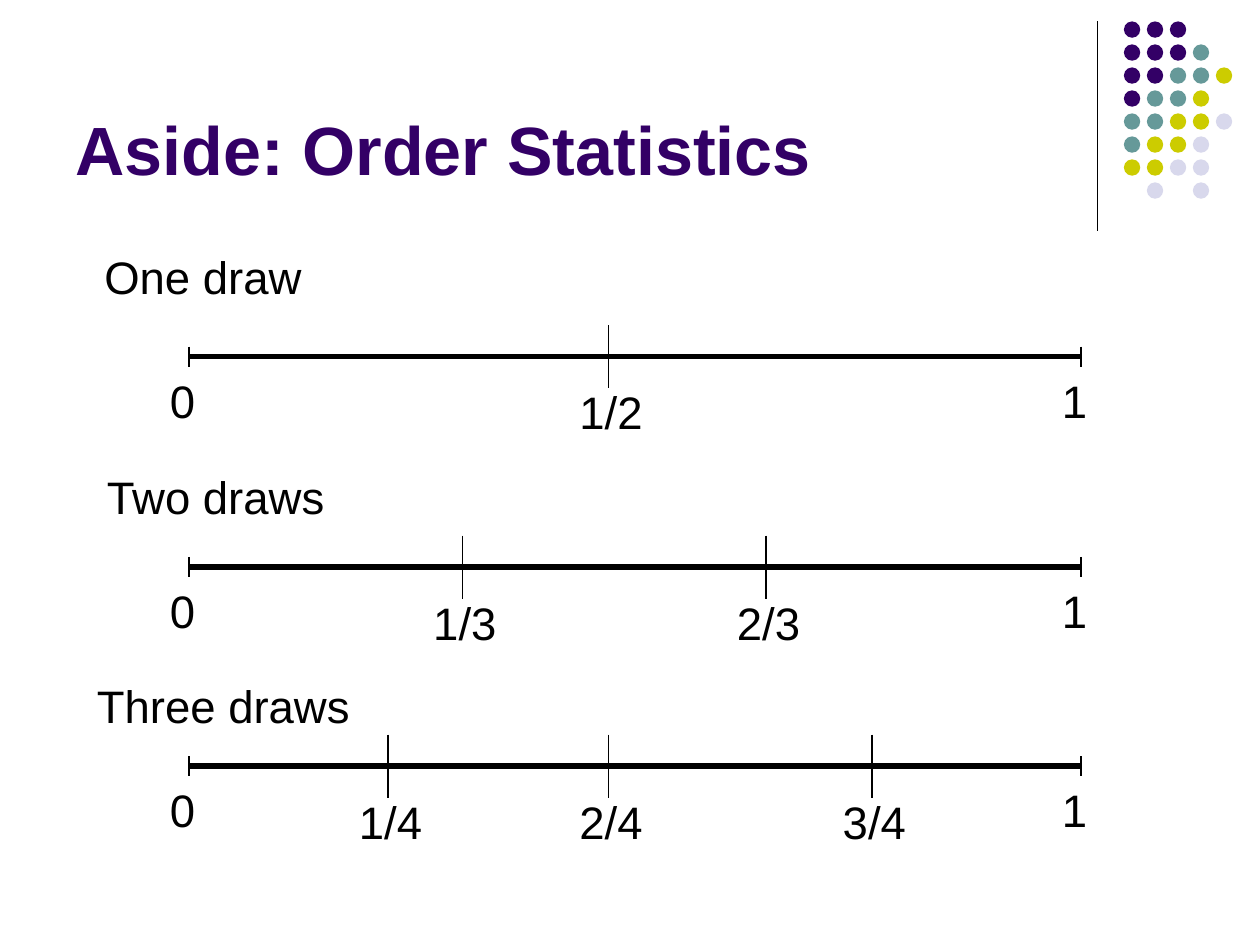
"""Build the order statistics slide: number lines for one, two and three draws."""

from dataclasses import dataclass

from lxml.etree import SubElement
from pptx import Presentation
from pptx.dml.color import RGBColor
from pptx.enum.shapes import MSO_CONNECTOR, MSO_SHAPE
from pptx.enum.text import MSO_ANCHOR
from pptx.oxml.ns import qn
from pptx.slide import Slide
from pptx.util import Inches, Pt


@dataclass(frozen=True)
class Theme:
    font: str = "Arial"
    title_size: float = 39
    body_size: float = 26
    thin: float = 0.75
    thick: float = 3
    ink: str = "000000"
    purple: str = "330066"
    teal: str = "669999"
    lime: str = "CCCC00"
    lavender: str = "D8D8EC"


@dataclass(frozen=True)
class Mark:
    label: str
    x: float


@dataclass(frozen=True)
class NumberLine:
    heading: str
    heading_left: float
    heading_top: float
    heading_width: float
    y: float
    marks: tuple[Mark, ...]


THEME = Theme()
AXIS_START, AXIS_END = 1.5, 8.58
LABEL_HEIGHT = 0.54
DOT_LEFT, DOT_TOP, DOT_SIZE = 8.92, 0.17, 0.13
DOT_PITCH = 0.73 / 4
DOT_COLORS = {"P": THEME.purple, "T": THEME.teal, "L": THEME.lime, "V": THEME.lavender}
DOT_ROWS = ("PPP", "PPPT", "PPTTL", "PTTL", "TTLLV", "TLLV", "LLVV", ".V.V")

NUMBER_LINES = (
    NumberLine("One draw", 0.73, 1.93, 1.77, 2.83, (Mark("1/2", 4.83),)),
    NumberLine("Two draws", 0.75, 3.67, 1.95, 4.5,
               (Mark("1/3", 3.67), Mark("2/3", 6.08))),
    NumberLine("Three draws", 0.67, 5.33, 2.21, 6.08,
               (Mark("1/4", 3.08), Mark("2/4", 4.83), Mark("3/4", 6.92))),
)


def draw_line(slide: Slide, x1: float, y1: float, x2: float, y2: float,
              weight: float = THEME.thin) -> None:
    """Draw a straight black line without a shadow."""
    line = slide.shapes.add_connector(
        MSO_CONNECTOR.STRAIGHT, Inches(x1), Inches(y1), Inches(x2), Inches(y2))
    line.line.color.rgb = RGBColor.from_string(THEME.ink)
    line.line.width = Pt(weight)
    SubElement(line._element.spPr, qn("a:effectLst"))


def draw_tick(slide: Slide, x: float, y: float, reach: float) -> None:
    """Draw a vertical tick centred on the axis."""
    draw_line(slide, x, y - reach, x, y + reach)


def draw_label(slide: Slide, text: str, left: float, top: float, width: float) -> None:
    """Write one line of body text."""
    label = slide.shapes.add_textbox(
        Inches(left), Inches(top), Inches(width), Inches(LABEL_HEIGHT)).text_frame
    label.word_wrap = False
    label.text = text
    font = label.paragraphs[0].font
    font.name, font.size = THEME.font, Pt(THEME.body_size)
    font.color.rgb = RGBColor.from_string(THEME.ink)


def draw_title(slide: Slide, text: str) -> None:
    """Write the bold title, resting on the bottom of its box."""
    title = slide.shapes.add_textbox(
        Inches(0.5), Inches(0.13), Inches(8.25), Inches(1.42)).text_frame
    title.word_wrap = True
    title.vertical_anchor = MSO_ANCHOR.BOTTOM
    title.text = text
    font = title.paragraphs[0].font
    font.name, font.size, font.bold = THEME.font, Pt(THEME.title_size), True
    font.color.rgb = RGBColor.from_string(THEME.purple)


def draw_dots(slide: Slide) -> None:
    """Draw the corner grid of coloured dots."""
    for row, codes in enumerate(DOT_ROWS):
        for column, code in enumerate(codes):
            if code not in DOT_COLORS:
                continue
            dot = slide.shapes.add_shape(
                MSO_SHAPE.OVAL, Inches(DOT_LEFT + column * DOT_PITCH),
                Inches(DOT_TOP + row * DOT_PITCH), Inches(DOT_SIZE), Inches(DOT_SIZE))
            dot.shadow.inherit = False
            dot.fill.solid()
            dot.fill.fore_color.rgb = RGBColor.from_string(DOT_COLORS[code])
            dot.line.fill.background()


def draw_number_line(slide: Slide, number_line: NumberLine) -> None:
    """Draw a heading, its axis from 0 to 1 and the marks between."""
    y = number_line.y
    draw_label(slide, number_line.heading, number_line.heading_left,
               number_line.heading_top, number_line.heading_width)
    draw_line(slide, AXIS_START, y, AXIS_END, y, THEME.thick)
    for end in (Mark("0", AXIS_START), Mark("1", AXIS_END)):
        draw_tick(slide, end.x, y, 0.08)
        draw_label(slide, end.label, end.x - 0.25, y + 0.08, 0.4)
    for mark in number_line.marks:
        draw_tick(slide, mark.x, y, 0.25)
        draw_label(slide, mark.label, mark.x - 0.33, y + 0.17, 0.7)


def main() -> None:
    """Build and save the slide."""
    presentation = Presentation()
    presentation.slide_width, presentation.slide_height = Inches(10), Inches(7.5)
    slide = presentation.slides.add_slide(presentation.slide_layouts[6])
    draw_line(slide, 8.71, 0.17, 8.71, 1.83)
    draw_dots(slide)
    draw_title(slide, "Aside: Order Statistics")
    for number_line in NUMBER_LINES:
        draw_number_line(slide, number_line)
    presentation.save("out.pptx")


if __name__ == "__main__":
    main()
